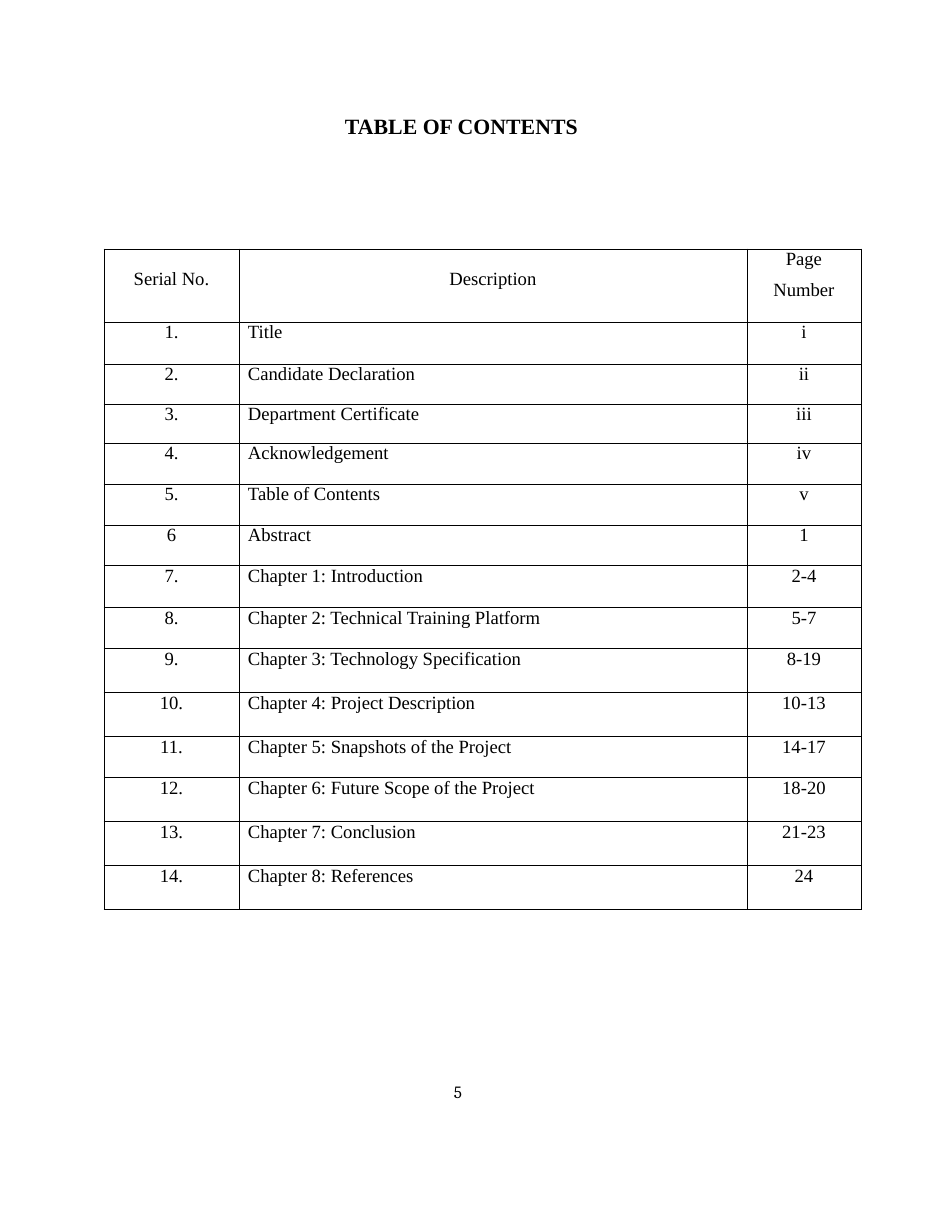
from dataclasses import dataclass

from lxml import etree
from pptx import Presentation
from pptx.dml.color import RGBColor
from pptx.enum.text import MSO_AUTO_SIZE, PP_ALIGN
from pptx.oxml.ns import qn
from pptx.util import Pt

LEFT, CENTER = PP_ALIGN.LEFT, PP_ALIGN.CENTER
FIT_SHAPE = MSO_AUTO_SIZE.SHAPE_TO_FIT_TEXT


@dataclass(frozen=True)
class Theme:
    ink: str = "000000"
    body_font: str = "Times New Roman"
    folio_font: str = "Cambria"
    title_size: float = 14
    body_size: float = 12
    folio_size: float = 11
    border: float = 0.5


THEME = Theme()

# Content
TITLE = "TABLE OF CONTENTS"
FOLIO = "5"
HEADER = ("Serial No.", "Description", "Page\nNumber")
ENTRIES = [
    ("1.", "Title", "i"),
    ("2.", "Candidate Declaration", "ii"),
    ("3.", "Department Certificate", "iii"),
    ("4.", "Acknowledgement", "iv"),
    ("5.", "Table of Contents", "v"),
    ("6", "Abstract", "1"),
    ("7.", "Chapter 1: Introduction", "2-4"),
    ("8.", "Chapter 2: Technical Training Platform", "5-7"),
    ("9.", "Chapter 3: Technology Specification", "8-19"),
    ("10.", "Chapter 4: Project Description", "10-13"),
    ("11.", "Chapter 5: Snapshots of the Project", "14-17"),
    ("12.", "Chapter 6: Future Scope of the Project", "18-20"),
    ("13.", "Chapter 7: Conclusion", "21-23"),
    ("14.", "Chapter 8: References", "24"),
]

# Layout in px, 112 to the inch
SLIDE_W, SLIDE_H = 952, 1232
TABLE_LEFT, TABLE_TOP = 104, 249
COLUMNS = (135, 508, 114)
ROWS = (73, 42, 40, 39, 41, 41, 41, 42, 41, 44, 44, 41, 44, 44, 44)
HEADER_INSET, ENTRY_INDENT = 20, 9
LINE_HEIGHT, LINE_GAP = 13.4, 6.5  # points


def px(n):
    return round(n * 914400 / 112)


def style(paragraph, size, font=THEME.body_font, bold=False, align=LEFT):
    paragraph.alignment = align
    paragraph.font.name = font
    paragraph.font.size = Pt(size)
    paragraph.font.bold = bold
    paragraph.font.color.rgb = RGBColor.from_string(THEME.ink)


def set_margins(holder, left=0, top=0):
    holder.margin_left, holder.margin_top = px(left), px(top)
    holder.margin_right = holder.margin_bottom = 0


def add_label(slide, text, box, indent, space_before, **look):
    frame = slide.shapes.add_textbox(*map(px, box)).text_frame
    frame.word_wrap = True
    frame.auto_size = FIT_SHAPE
    set_margins(frame, indent, 1)
    frame.text = text
    paragraph = frame.paragraphs[0]
    paragraph.space_before = Pt(space_before)
    style(paragraph, **look)


def add_borders(cell):
    properties = cell._tc.get_or_add_tcPr()
    for side in ("lnL", "lnR", "lnT", "lnB"):
        line = etree.SubElement(properties, qn(f"a:{side}"), w=str(Pt(THEME.border)))
        fill = etree.SubElement(line, qn("a:solidFill"))
        etree.SubElement(fill, qn("a:srgbClr"), val=THEME.ink)


def fill_cell(cell, text, is_header, is_description):
    indented = is_description and not is_header
    one_line_header = is_header and "\n" not in text
    set_margins(cell, ENTRY_INDENT if indented else 0,
                HEADER_INSET if one_line_header else 0)
    cell.text = text
    for i, paragraph in enumerate(cell.text_frame.paragraphs):
        style(paragraph, THEME.body_size, align=LEFT if indented else CENTER)
        if i:
            paragraph.space_before = Pt(LINE_GAP)
        elif not one_line_header:
            paragraph.line_spacing = Pt(LINE_HEIGHT)
    add_borders(cell)
    cell.fill.background()


def add_contents_table(slide):
    table = slide.shapes.add_table(
        len(ROWS), len(COLUMNS), px(TABLE_LEFT), px(TABLE_TOP),
        px(sum(COLUMNS)), px(sum(ROWS))).table
    table.first_row = table.horz_banding = False
    for column, width in zip(table.columns, COLUMNS):
        column.width = px(width)
    for row, height in zip(table.rows, ROWS):
        row.height = px(height)
    for r, entry in enumerate([HEADER, *ENTRIES]):
        for c, text in enumerate(entry):
            fill_cell(table.cell(r, c), text, r == 0, c == 1)


def main():
    deck = Presentation()
    deck.slide_width, deck.slide_height = px(SLIDE_W), px(SLIDE_H)
    slide = deck.slides.add_slide(deck.slide_layouts[6])

    # Page number, title, table
    add_label(slide, FOLIO, (450, 1080, 24, 24), 4, 0.5,
              size=THEME.folio_size, font=THEME.folio_font)
    add_label(slide, TITLE, (344, 112, 235, 29), 1, 0.9,
              size=THEME.title_size, bold=True)
    add_contents_table(slide)
    deck.save("out.pptx")


if __name__ == "__main__":
    main()
